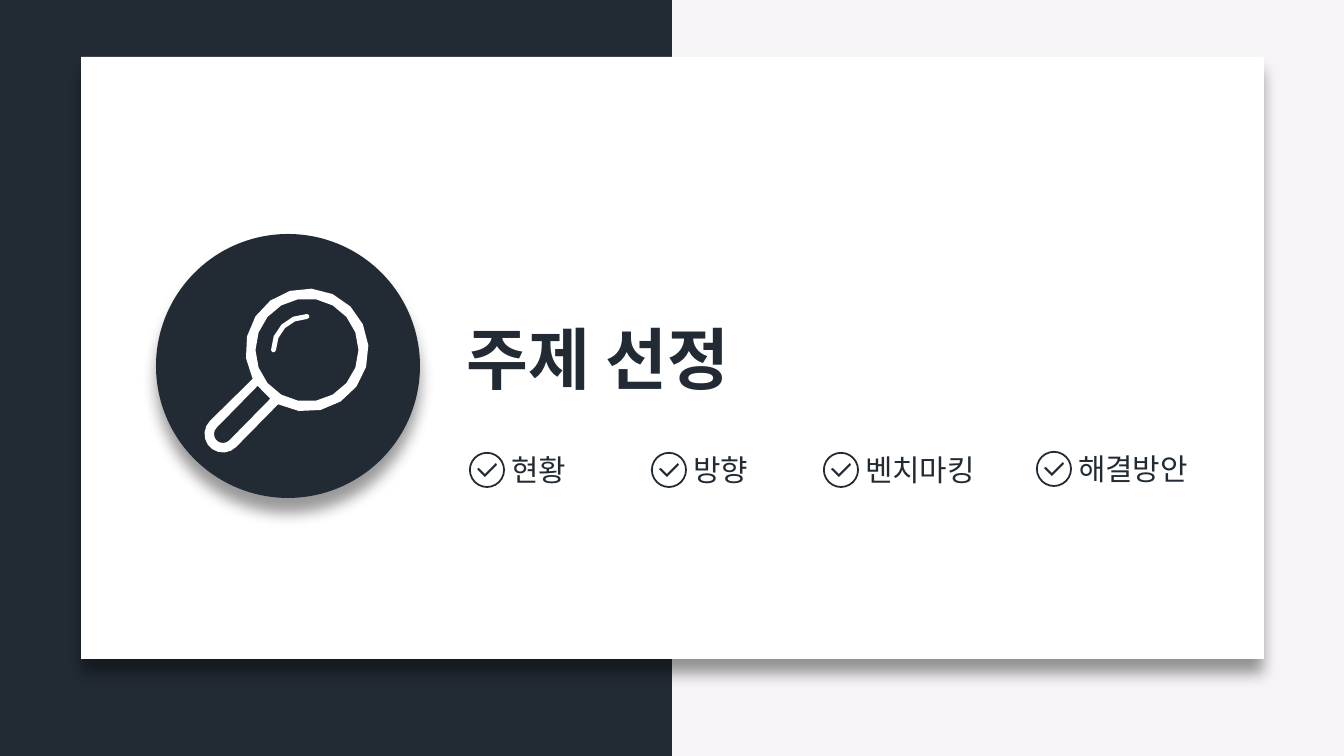
from math import cos, radians, sin

from pptx import Presentation
from pptx.dml.color import RGBColor
from pptx.enum.shapes import MSO_SHAPE
from pptx.enum.text import MSO_ANCHOR, MSO_AUTO_SIZE, PP_ALIGN
from pptx.oxml import parse_xml
from pptx.oxml.ns import nsdecls, qn
from pptx.util import Pt

TITLE = "주제 선정"
TOPICS = [
    ("현황", 469, 452, 85),
    ("방향", 651, 452, 85),
    ("벤치마킹", 823, 452, 144),
    ("해결방안", 1036, 451, 144),
]
COLORS = {"navy": "222B34", "paper": "F6F4F7", "white": "FFFFFF", "shadow": "000000"}
FONT = "Noto Sans CJK KR"
SLIDE_W, SLIDE_H = 1344, 756
SCALE = 9144000 / SLIDE_W
LENS = (307, 350)
HANDLE_END = (223, 434)
RING = 36
CHECK = [(-2, 7), (-10, -1), (-8, -2), (-2, 4), (9, -7), (10, -5)]


def emu(px):
    return round(px * SCALE)


def rgb(name):
    return RGBColor.from_string(COLORS[name])


def paint(shape, color):
    shape.shadow.inherit = False
    shape.fill.solid()
    shape.fill.fore_color.rgb = rgb(color)
    shape.line.fill.background()


def add_block(shapes, kind, box, color):
    block = shapes.add_shape(kind, *map(emu, box))
    paint(block, color)
    return block


def cast_shadow(shape):
    shape._element.spPr.find(qn("a:effectLst")).append(parse_xml(
        f'<a:outerShdw {nsdecls("a")} blurRad="{Pt(8)}" dist="{Pt(8)}" dir="5400000" '
        f'algn="t" rotWithShape="0"><a:srgbClr val="{COLORS["shadow"]}">'
        '<a:alpha val="40000"/></a:srgbClr></a:outerShdw>'))


def arc(center, radius, start, end, step=20):
    count = max(1, round(abs(end - start) / step))
    angles = [radians(start + (end - start) * i / count) for i in range(count + 1)]
    return [(center[0] + radius * cos(a), center[1] + radius * sin(a)) for a in angles]


def add_outline(shapes, contours, color):
    scaled = [[(emu(x), emu(y)) for x, y in contour] for contour in contours]
    builder = shapes.build_freeform(*scaled[0][0])
    for i, contour in enumerate(scaled):
        if i:
            builder.move_to(*contour[0])
        builder.add_line_segments(contour[1:], close=True)
    paint(builder.convert_to_shape(), color)


def write(shape, text, size, bold):
    frame = shape.text_frame
    frame.word_wrap = False
    frame.auto_size = MSO_AUTO_SIZE.SHAPE_TO_FIT_TEXT
    frame.vertical_anchor = MSO_ANCHOR.TOP
    paragraph = frame.paragraphs[0]
    paragraph.alignment = PP_ALIGN.LEFT
    run = paragraph.add_run()
    run.text = text
    run.font.size = Pt(size)
    run.font.bold = bold
    run.font.name = FONT
    run.font.color.rgb = rgb("navy")
    run.font._element.set("kern", "0")
    run.font._element.find(qn("a:latin")).addnext(
        parse_xml(f'<a:ea {nsdecls("a")} typeface="{FONT}"/>'))


def add_magnifier():
    shapes = slide.shapes.add_group_shape().shapes
    rim = arc(LENS, 61.5, 152, 478) + arc(HANDLE_END, 18.5, 45, 225)
    glass = arc(LENS, 51.5, 0, 360)
    grip = arc(HANDLE_END, 9, 45, 225) + arc(LENS, 61, 144, 127)
    add_outline(shapes, [rim, glass, grip], "white")
    x, y = LENS
    glint = (arc(LENS, 36, 180, 270) + arc((x, y - 33.5), 2.5, 270, 450, 60)
             + arc(LENS, 31, 270, 180) + arc((x - 33.5, y), 2.5, 180, 0, 60))
    add_outline(shapes, [glint], "white")


def add_topic(text, left, top, width):
    shapes = slide.shapes.add_group_shape().shapes
    ring = add_block(shapes, MSO_SHAPE.DONUT, (left, top, RING, RING), "navy")
    ring.adjustments[0] = 0.05
    x, y = left + RING / 2, top + RING / 2
    add_outline(shapes, [[(x + dx, y + dy) for dx, dy in CHECK]], "navy")
    label = shapes.add_textbox(*map(emu, (left + 29, top - 7, width, 50)))
    write(label, text, 16, False)


deck = Presentation()
deck.slide_width, deck.slide_height = emu(SLIDE_W), emu(SLIDE_H)
slide = deck.slides.add_slide(deck.slide_layouts[5])
slide.background.fill.solid()
slide.background.fill.fore_color.rgb = rgb("paper")

add_block(slide.shapes, MSO_SHAPE.RECTANGLE, (0, 0, SLIDE_W // 2, SLIDE_H), "navy")
card = add_block(slide.shapes, MSO_SHAPE.RECTANGLE, (81, 57, 1183, 602), "white")
badge = add_block(slide.shapes, MSO_SHAPE.OVAL, (156, 234, 264, 264), "navy")
cast_shadow(card)
cast_shadow(badge)

title = slide.shapes.title
title.left, title.top, title.width, title.height = map(emu, (453, 311, 306, 95))
write(title, TITLE, 36, True)
badge._element.addnext(title._element)

add_magnifier()
for topic in TOPICS:
    add_topic(*topic)

deck.save("out.pptx")
